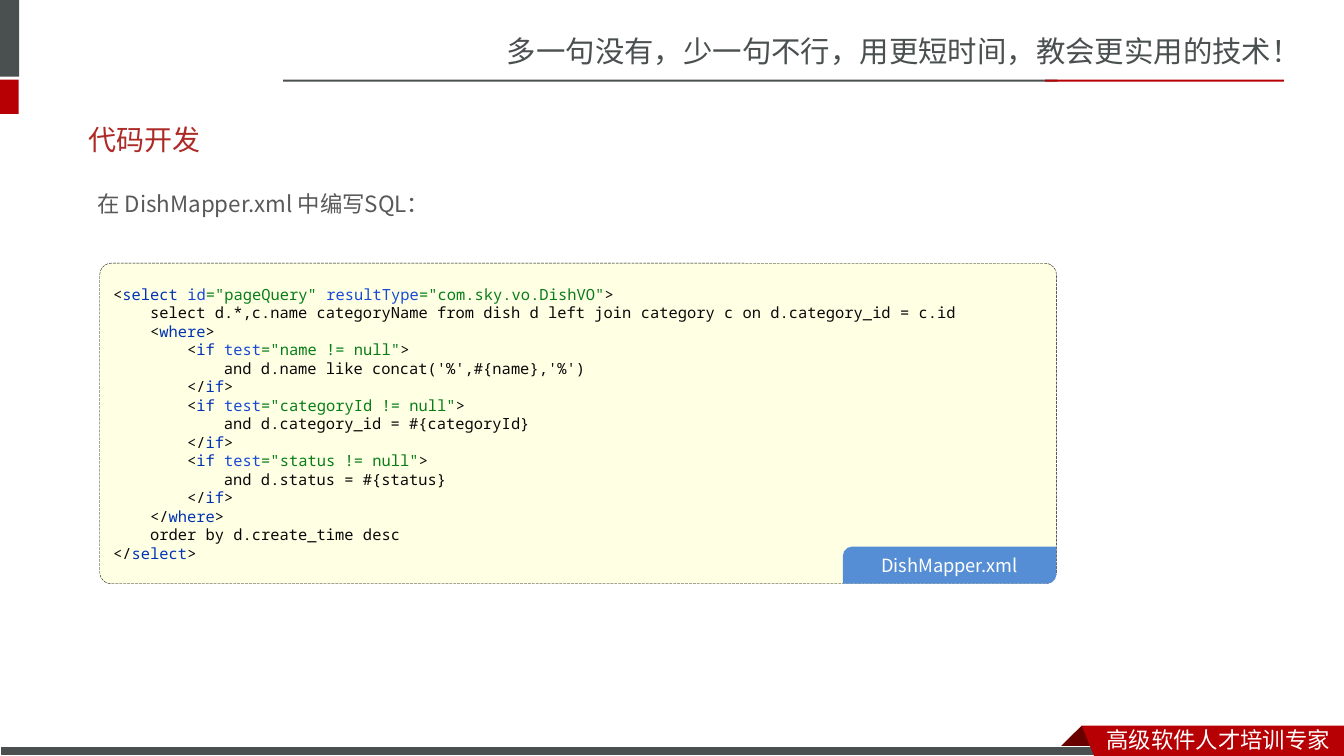
from dataclasses import dataclass

from lxml import etree
from pptx import Presentation
from pptx.dml.color import RGBColor
from pptx.enum import dml, shapes, text
from pptx.oxml import ns
from pptx.util import Pt


@dataclass(frozen=True)
class Theme:
    grey: str = "49504F"
    red: str = "B60004"
    dark_red: str = "680000"
    title_red: str = "AD2A26"
    body: str = "595959"
    white: str = "FFFFFF"
    panel: str = "FFFFE4"
    outline: str = "000000"
    tab: str = "558ED5"
    plain: str = "080808"
    tag: str = "0033B3"
    attribute: str = "174AD4"
    value: str = "067D17"
    sans: str = "Noto Sans CJK SC"
    body_font: str = "Noto Sans CJK JP"
    title_font: str = "Lato"
    mono: str = "Noto Sans Mono"
    slogan_size: float = 21
    title_size: float = 20
    body_size: float = 16
    tab_size: float = 13
    code_size: float = 11


theme = Theme()


def add_run(paragraph, wording, size, color, font, east_asian=None):
    """Add a run with the same font for Latin and Chinese unless told otherwise."""
    run = paragraph.add_run()
    run.text = wording
    run.font.size = Pt(size)
    run.font.color.rgb = RGBColor.from_string(color)
    run.font.name = font
    ea = etree.SubElement(run.font._element, ns.qn("a:ea"))
    ea.set("typeface", east_asian or font)


def paint(shape, color):
    """Give a shape a flat fill with no line and no shadow."""
    shape.shadow.inherit = False
    shape.fill.solid()
    shape.fill.fore_color.rgb = RGBColor.from_string(color)
    shape.line.fill.background()


deck = Presentation()
deck.slide_width, deck.slide_height = Pt(960), Pt(540)
slide = deck.slides.add_slide(deck.slide_layouts[5])
canvas = slide.shapes

# Header and footer bands
for left, top, width, height, color in [
    (0, 0, 13.7, 54.7, theme.grey),
    (0, 56.9, 13.3, 24.5, theme.red),
    (202.3, 56.9, 553, 1.5, theme.grey),
    (746.6, 56.9, 170.6, 1.5, theme.red),
]:
    band = canvas.add_shape(
        shapes.MSO_SHAPE.RECTANGLE, Pt(left), Pt(top), Pt(width), Pt(height))
    paint(band, color)

fold_corners = [(772.6, 518.4), (788.4, 534.2), (787.7, 535), (757.4, 535), (756.7, 534.2)]
ribbon_corners = [(772.6, 518.4), (960, 518.4), (960, 540), (781.5, 540)]
for corners, color in [(fold_corners, theme.dark_red), (ribbon_corners, theme.red)]:
    points = [(Pt(x), Pt(y)) for x, y in corners]
    outline = canvas.build_freeform(*points[0])
    outline.add_line_segments(points[1:], close=True)
    paint(outline.convert_to_shape(), color)
    if corners is fold_corners:
        footer_bar = canvas.add_shape(
            shapes.MSO_SHAPE.RECTANGLE, Pt(0), Pt(533.5), Pt(791), Pt(6.5))
        paint(footer_bar, theme.grey)
        footer_bar.line.color.rgb = RGBColor.from_string(theme.white)
        footer_bar.line.width = Pt(0.75)

# Slogans and introduction
for wording, left, top, width, height, size, color, font, spacing in [
    ("多一句没有，少一句不行，用更短时间，教会更实用的技术！",
     355, 20.2, 605, 33.8, theme.slogan_size, theme.grey, theme.sans, 1),
    ("高级软件人才培训专家",
     783.4, 514.8, 176.6, 25.2, theme.body_size, theme.white, theme.sans, 1),
    ("在 DishMapper.xml 中编写SQL：",
     62.6, 122.4, 792, 33, theme.body_size, theme.body, theme.body_font, 1.5),
]:
    caption = canvas.add_textbox(Pt(left), Pt(top), Pt(width), Pt(height)).text_frame
    caption.word_wrap = True
    caption.margin_right = 0
    caption.paragraphs[0].line_spacing = spacing
    add_run(caption.paragraphs[0], wording, size, color, font)

title = canvas.title
title.left, title.top, title.width, title.height = Pt(56.2), Pt(79.2), Pt(842.4), Pt(41)
title.text_frame.vertical_anchor = text.MSO_ANCHOR.MIDDLE
heading = title.text_frame.paragraphs[0]
heading.alignment = text.PP_ALIGN.LEFT
add_run(heading, "代码开发", theme.title_size, theme.title_red, theme.title_font, theme.sans)

# Code lines: indent level, then coloured parts
opening, closing = ("<", theme.plain), (">", theme.plain)
ending = ("</", theme.plain)
where, if_end = ("where", theme.tag), ("if", theme.tag)
code = [
    (0, [opening, ("select ", theme.tag), ("id", theme.attribute),
         ('="pageQuery" ', theme.value), ("resultType", theme.attribute),
         ('="com.sky.vo.DishVO"', theme.value), closing]),
    (1, [("select d.*,c.name categoryName from dish d left join category c"
          " on d.category_id = c.id", theme.plain)]),
    (1, [opening, where, closing]),
]
for field, condition in [
    ("name", "and d.name like concat('%',#{name},'%')"),
    ("categoryId", "and d.category_id = #{categoryId}"),
    ("status", "and d.status = #{status}"),
]:
    code += [
        (2, [opening, ("if ", theme.tag), ("test", theme.attribute),
             (f'="{field} != null"', theme.value), closing]),
        (3, [(condition, theme.plain)]),
        (2, [ending, if_end, closing]),
    ]
code += [
    (1, [ending, where, closing]),
    (1, [("order by d.create_time desc", theme.plain)]),
    (0, [ending, ("select", theme.tag), closing]),
]

panel = canvas.add_shape(
    shapes.MSO_SHAPE.ROUNDED_RECTANGLE, Pt(71.3), Pt(188), Pt(683.3), Pt(229))
paint(panel, theme.panel)
panel.adjustments[0] = 0.036
panel.line.color.rgb = RGBColor.from_string(theme.outline)
panel.line.width = Pt(0.25)
panel.line.dash_style = dml.MSO_LINE.LONG_DASH
listing = panel.text_frame
listing.word_wrap = True
listing.vertical_anchor = text.MSO_ANCHOR.MIDDLE
indent_step = 4 * 0.6 * theme.code_size
for number, (level, parts) in enumerate(code):
    line = listing.add_paragraph() if number else listing.paragraphs[0]
    line.alignment = text.PP_ALIGN.LEFT
    line.line_spacing = Pt(1.2 * theme.code_size)
    line._p.get_or_add_pPr().set("marL", str(Pt(level * indent_step)))
    for wording, color in parts:
        add_run(line, wording, theme.code_size, color, theme.mono)

file_tab = canvas.add_shape(
    shapes.MSO_SHAPE.ROUND_2_DIAG_RECTANGLE, Pt(602), Pt(390.4), Pt(152.6), Pt(26.6))
paint(file_tab, theme.tab)
file_tab.adjustments[0] = 0.257
file_tab.adjustments[1] = 0
file_label = file_tab.text_frame
file_label.margin_left = file_label.margin_right = 0
file_label.margin_top = file_label.margin_bottom = 0
file_label.vertical_anchor = text.MSO_ANCHOR.MIDDLE
file_label.paragraphs[0].alignment = text.PP_ALIGN.CENTER
add_run(file_label.paragraphs[0], "DishMapper.xml", theme.tab_size, theme.white, theme.body_font)

deck.save("out.pptx")
